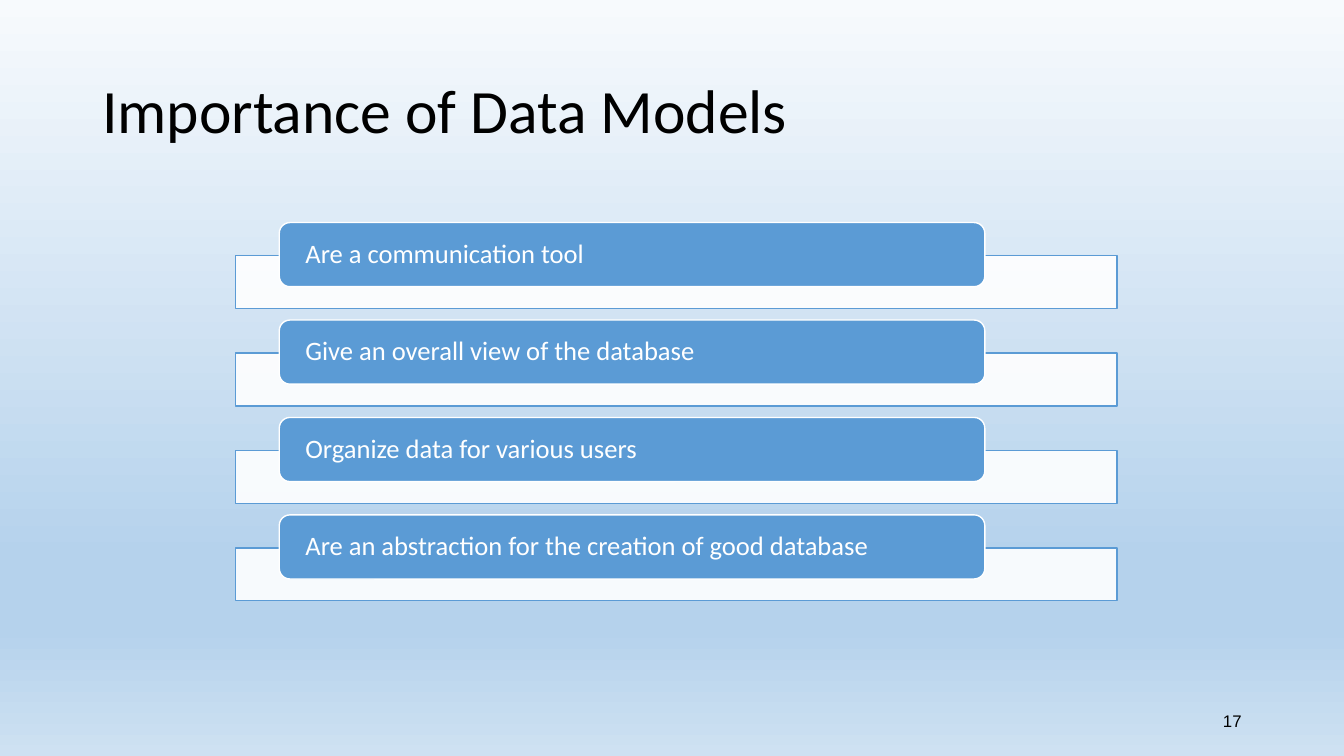
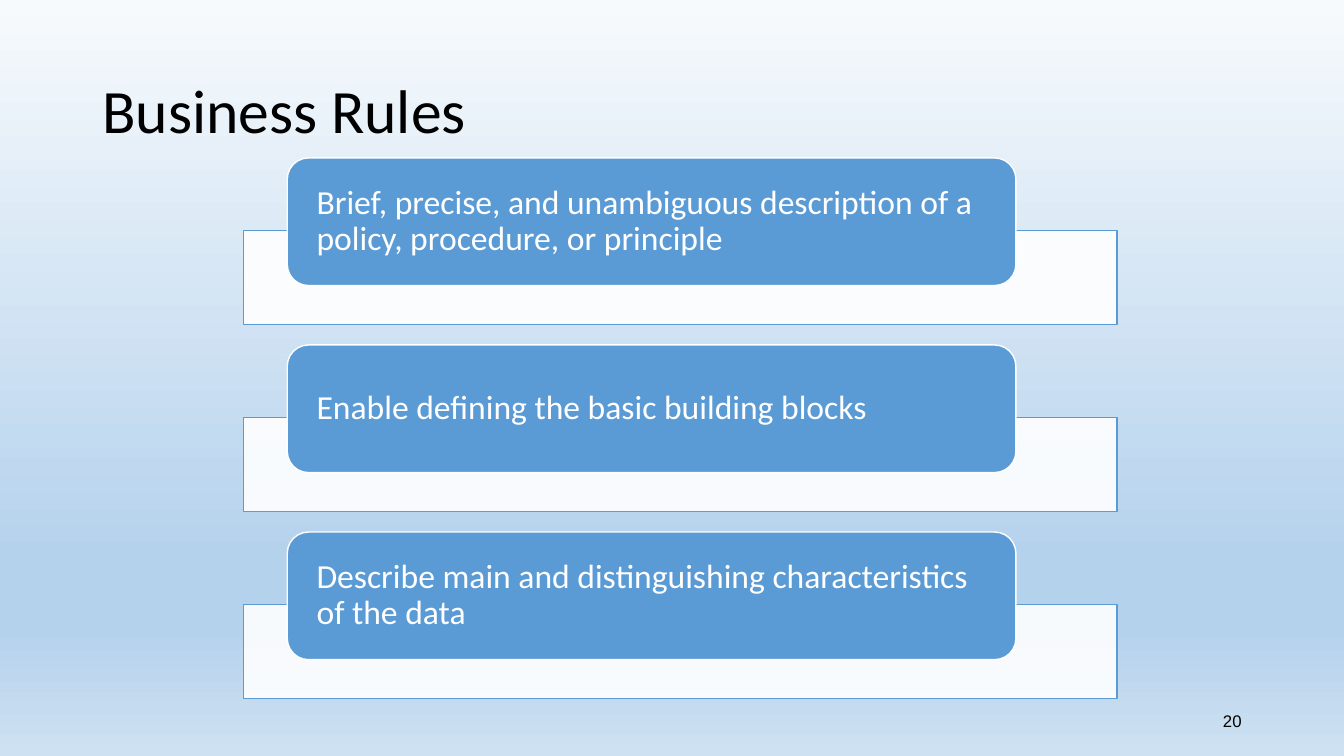
import pptx
import pptx.dml.color
import pptx.enum.shapes
import pptx.enum.text
import pptx.oxml
import pptx.oxml.ns
import pptx.util
from lxml import etree

Pt = pptx.util.Pt
qn = pptx.oxml.ns.qn
SHAPE = pptx.enum.shapes.MSO_SHAPE
ALIGN = pptx.enum.text.PP_ALIGN
ANCHOR = pptx.enum.text.MSO_ANCHOR

BLUE, WHITE, BLACK = "5B9BD5", "FFFFFF", "000000"
BACKGROUND = [(0, "F7FAFD"), (74, "B5D2EC"), (83, "B5D2EC"), (100, "CEE1F2")]
TITLE_BOX = (66, 28.8, 828, 104.4)
NUMBER_BOX = (678, 500.5, 216, 28.8)
TAB_INDENT = 0.05
TAB_MARGIN = 16.5


def rgb(color):
    return pptx.dml.color.RGBColor.from_string(color)


def set_background(master):
    fill = master.background.fill
    fill.gradient()
    fill.gradient_angle = 270
    stops = next(master.element.iter(qn("a:gsLst")))
    for stop in list(stops):
        stops.remove(stop)
    for position, color in BACKGROUND:
        stop = etree.SubElement(stops, qn("a:gs"), pos=str(position * 1000))
        etree.SubElement(stop, qn("a:srgbClr"), val=color)


def write(sp, text, size, color, font="Calibri", align=ALIGN.LEFT, spacing=0.9):
    tf = sp.text_frame
    tf.word_wrap = True
    tf.vertical_anchor = ANCHOR.MIDDLE
    tf.text = text
    p = tf.paragraphs[0]
    p.alignment = align
    p.line_spacing = spacing
    r = p.runs[0]
    r.font.name = font
    r.font.size = Pt(size)
    r.font.color.rgb = rgb(color)


def add_text(slide, box, text, size, **style):
    sp = slide.shapes.add_textbox(*map(Pt, box))
    write(sp, text, size, BLACK, **style)


def add_box(slide, kind, box, fill, line):
    sp = slide.shapes.add_shape(kind, *map(Pt, box))
    sp.shadow.inherit = False
    sp.fill.solid()
    sp.fill.fore_color.rgb = rgb(fill)
    sp.line.color.rgb = rgb(line)
    sp.line.width = Pt(1)
    return sp


def set_opacity(sp, percent):
    color = sp.element.spPr.find(qn("a:solidFill"))[0]
    etree.SubElement(color, qn("a:alpha"), val=str(percent * 1000))


def add_tab_list(slide, items, box, pitch, tab_size, bar_drop, bar_height, size):
    left, top, width = box
    tab_width, tab_height = tab_size
    for i, text in enumerate(items):
        y = top + i * pitch
        bar = add_box(slide, SHAPE.RECTANGLE,
                      (left, y + bar_drop, width, bar_height), WHITE, BLUE)
        set_opacity(bar, 90)
        tab = add_box(slide, SHAPE.ROUNDED_RECTANGLE,
                      (left + TAB_INDENT * width, y, tab_width, tab_height), BLUE, WHITE)
        tf = tab.text_frame
        tf.margin_left = tf.margin_right = Pt(TAB_MARGIN)
        tf.margin_top = tf.margin_bottom = 0
        write(tab, text, size, WHITE)


def add_list_slide(prs, title, number, items, **layout):
    slide = prs.slides.add_slide(prs.slide_layouts[6])
    add_text(slide, TITLE_BOX, title, 44)
    add_text(slide, NUMBER_BOX, number, 12, font="Arial", align=ALIGN.RIGHT, spacing=1.0)
    add_tab_list(slide, items, **layout)


def main():
    prs = pptx.Presentation()
    prs.slide_width, prs.slide_height = Pt(960), Pt(540)
    set_background(prs.slide_master)
    add_list_slide(
        prs, "Importance of Data Models", "17",
        ["Are a communication tool",
         "Give an overall view of the database",
         "Organize data for various users",
         "Are an abstraction for the creation of good database"],
        box=(168, 159, 630), pitch=69.6, tab_size=(504, 45.8),
        bar_drop=23.5, bar_height=37.8, size=19)
    add_list_slide(
        prs, "Business Rules", "20",
        ["Brief, precise, and unambiguous description of a policy, procedure, or principle",
         "Enable defining the basic building blocks",
         "Describe main and distinguishing characteristics of the data"],
        box=(174, 112.8, 624), pitch=133.6, tab_size=(520.5, 91.2),
        bar_drop=51.7, bar_height=67.4, size=24)
    prs.save("out.pptx")


if __name__ == "__main__":
    main()
